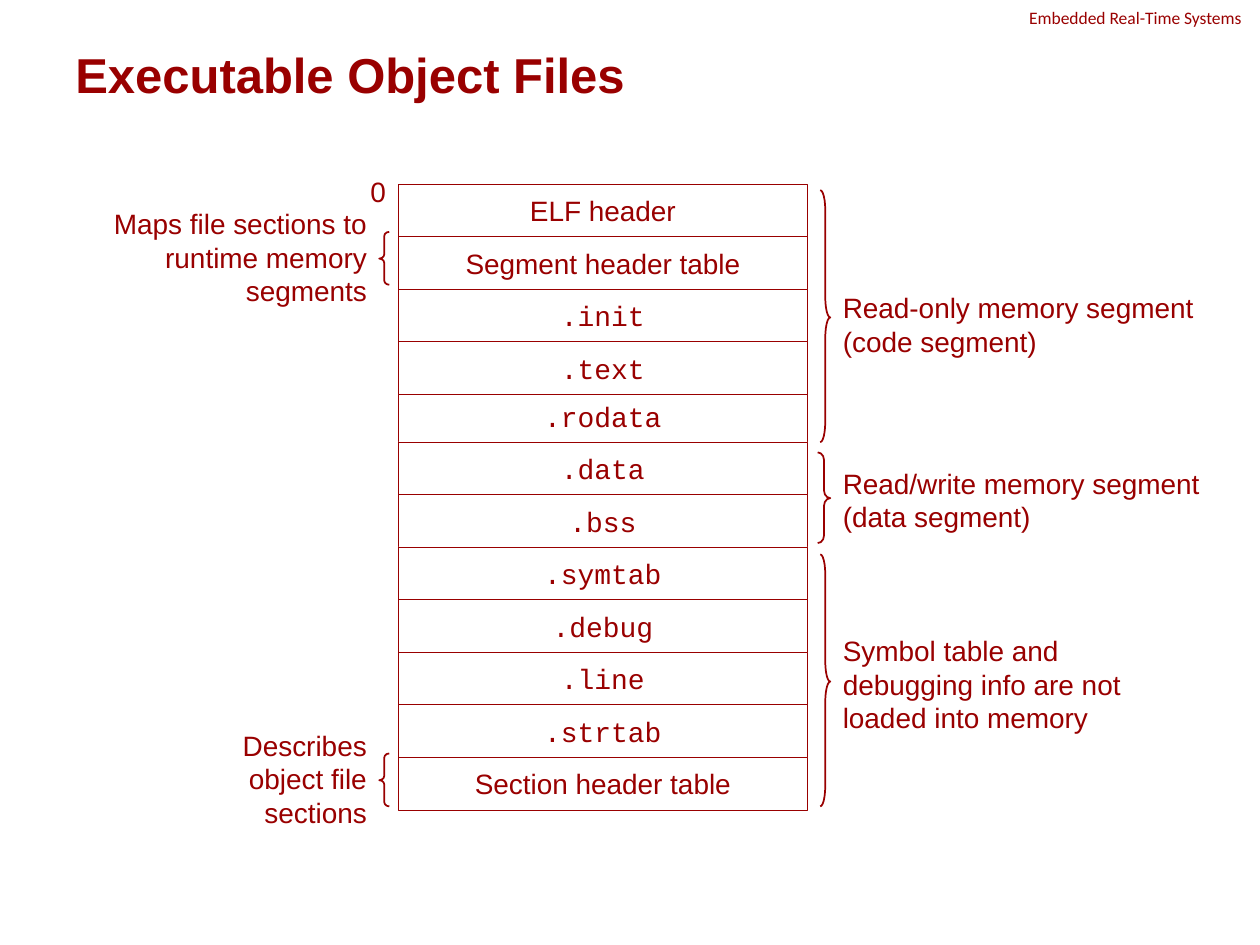
from pptx import Presentation
from pptx.dml.color import RGBColor
from pptx.enum.shapes import MSO_SHAPE as Shape
from pptx.enum.text import MSO_ANCHOR as Anchor, PP_ALIGN as Align
from pptx.util import Inches, Pt

COLORS = {"ink": "990000", "paper": "FFFFFF"}
ROW_LEFT, ROW_WIDTH, ROW_HEIGHT, ROW_PITCH = 3.16, 3.25, 0.42, 0.417


class SlideBuilder:
    """Hold the style and the current slide, and add elements to it."""

    def __init__(self, deck):
        self.page = deck.slides.add_slide(deck.slide_layouts[6])
        self.ink = RGBColor.from_string(COLORS["ink"])
        self.paper = RGBColor.from_string(COLORS["paper"])

    def set_lines(self, frame, lines, font="Arial", size=16, bold=False, align=Align.LEFT):
        for index, line in enumerate(lines):
            para = frame.add_paragraph() if index else frame.paragraphs[0]
            para.text = line
            para.alignment = align
            para.font.name = font
            para.font.size = Pt(size)
            para.font.bold = bold
            para.font.color.rgb = self.ink

    def label(self, place, lines, wrap=True, anchor=Anchor.TOP, **style):
        box = self.page.shapes.add_textbox(*map(Inches, place))
        box.text_frame.word_wrap = wrap
        box.text_frame.vertical_anchor = anchor
        self.set_lines(box.text_frame, lines, **style)

    def shape(self, kind, place, line_width):
        shape = self.page.shapes.add_shape(kind, *map(Inches, place))
        shape.shadow.inherit = False
        shape.line.color.rgb = self.ink
        shape.line.width = Pt(line_width)
        return shape

    def section(self, top, name):
        row = self.shape(Shape.RECTANGLE, (ROW_LEFT, top, ROW_WIDTH, ROW_HEIGHT), 0.25)
        row.fill.solid()
        row.fill.fore_color.rgb = self.paper
        row.text_frame.word_wrap = False
        row.text_frame.vertical_anchor = Anchor.MIDDLE
        font = "Courier New" if name.startswith(".") else "Arial"
        self.set_lines(row.text_frame, [name], font=font, align=Align.CENTER)

    def stack(self, top, names):
        for index, name in enumerate(names):
            self.section(top + index * ROW_PITCH, name)

    def brace(self, place, curl, flipped=False):
        brace = self.shape(Shape.RIGHT_BRACE, place, 1)
        brace.fill.background()
        brace.adjustments[0] = curl
        brace.adjustments[1] = 0.505
        if flipped:
            brace._element.spPr.xfrm.set("flipH", "1")


def main():
    deck = Presentation()
    deck.slide_width, deck.slide_height = Inches(10), Inches(7.5)
    slide = SlideBuilder(deck)

    slide.label((8.07, 0.01, 2.27, 0.27), ["Embedded Real-Time Systems"],
                font="Calibri", size=10)
    slide.label((0.5, 0.3, 9, 0.58), ["Executable Object Files"],
                anchor=Anchor.MIDDLE, size=28, bold=True)

    slide.stack(3.09, [".rodata", ".data", ".bss", ".symtab", ".debug", ".line",
                       ".strtab", "Section header table"])
    slide.stack(1.46, ["ELF header", "Segment header table", ".init", ".text"])
    slide.label((2.84, 1.34, 0.32, 0.37), ["0"], wrap=False)

    for top in (1.84, 5.98):
        slide.brace((3.01, top, 0.08, 0.42), 0.417, flipped=True)
    for top in (1.51, 4.4):
        slide.brace((6.51, top, 0.08, 2), 2)
    slide.brace((6.49, 3.59, 0.1, 0.72), 0.605)

    slide.label((0.59, 1.59, 2.42, 0.9),
                ["Maps file sections to runtime memory segments"], align=Align.RIGHT)
    slide.label((1.68, 5.73, 1.33, 0.9), ["Describes object file sections"],
                align=Align.RIGHT)
    slide.label((6.59, 2.26, 3.08, 0.64), ["Read-only memory segment", "(code segment)"])
    slide.label((6.59, 3.65, 3.08, 0.64), ["Read/write memory segment", "(data segment)"])
    slide.label((6.59, 4.98, 2.42, 0.9),
                ["Symbol table and debugging info are not", "loaded into memory"])

    deck.save("out.pptx")


if __name__ == "__main__":
    main()
